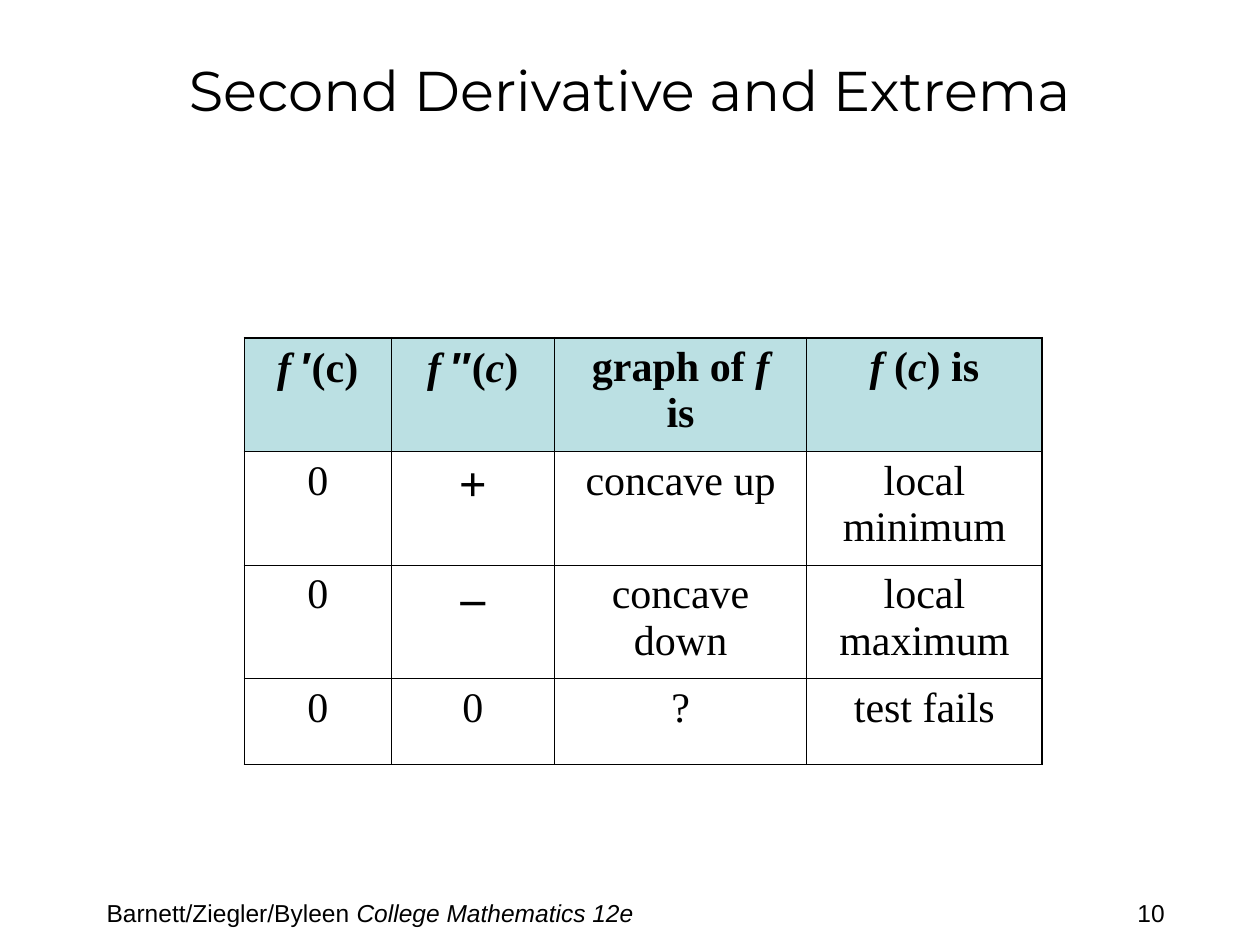
from pptx import Presentation
from pptx.dml.color import RGBColor
from pptx.enum.text import MSO_ANCHOR, PP_ALIGN
from pptx.oxml.ns import qn
from pptx.util import Cm, Pt
from lxml.etree import SubElement

BLACK = RGBColor(0x00, 0x00, 0x00)
HEADER_BLUE = RGBColor(0xBB, 0xE0, 0xE3)
SERIF = "Times New Roman"
SANS = "Arial"
OUTER_LINE, INNER_LINE = Pt(1.08), Pt(0.45)

COLUMN_WIDTHS = [2.95, 3.3, 5.08, 4.75]
ROW_HEIGHTS = [2.29, 2.29, 2.29, 1.73]

ITALIC = {"italic": True}
PRIME = {"font": SANS}
SIGN = {"size": 28, "bold": True}

# Each header cell is a list of (text, format) runs
HEADERS = [
    [("f ", ITALIC), ("′", PRIME), ("(c)", {})],
    [("f ", ITALIC), ("′′", PRIME), ("(", {}), ("c", ITALIC), (")", {})],
    [("graph of ", {}), ("f", ITALIC), ("\n", {}), ("is", {})],
    [("f", ITALIC), (" (", {}), ("c", ITALIC), (") is", {})],
]
BODY = [
    ["0", "+", "concave up", "local minimum"],
    ["0", "–", "concave down", "local maximum"],
    ["0", "0", "?", "test fails"],
]


def add_text(paragraph, text, font=SERIF, size=24, bold=False, italic=False):
    """Append one formatted run, or a line break for a newline."""
    if text == "\n":
        paragraph.add_line_break()
        return
    run = paragraph.add_run()
    run.text = text
    run.font.name = font
    run.font.size = Pt(size)
    run.font.bold = bold
    run.font.italic = italic
    run.font.color.rgb = BLACK


def add_text_box(slide, left, top, width, height):
    frame = slide.shapes.add_textbox(left, top, width, height).text_frame
    frame.word_wrap = True
    return frame.paragraphs[0]


def set_borders(cell, widths):
    """Draw cell borders; widths are ordered left, right, top, bottom."""
    properties = cell._tc.get_or_add_tcPr()
    for position, (side, width) in enumerate(zip("LRTB", widths)):
        line = SubElement(properties, qn(f"a:ln{side}"), w=str(int(width)))
        fill = SubElement(line, qn("a:solidFill"))
        SubElement(fill, qn("a:srgbClr"), val=str(BLACK))
        properties.insert(position, line)


def place_title(slide, left, top, width, height):
    title = slide.shapes.title
    title.left, title.top, title.width, title.height = left, top, width, height
    title.text_frame.vertical_anchor = MSO_ANCHOR.MIDDLE
    paragraph = title.text_frame.paragraphs[0]
    paragraph.alignment = PP_ALIGN.CENTER
    add_text(paragraph, "Second Derivative and Extrema", font="Montserrat", size=32)


def place_table(slide, left, top):
    rows, columns = len(ROW_HEIGHTS), len(COLUMN_WIDTHS)
    table = slide.shapes.add_table(
        rows, columns, left, top, Cm(sum(COLUMN_WIDTHS)), Cm(sum(ROW_HEIGHTS))
    ).table
    for column, width in zip(table.columns, COLUMN_WIDTHS):
        column.width = Cm(width)
    for row, height in zip(table.rows, ROW_HEIGHTS):
        row.height = Cm(height)

    for r in range(rows):
        for c in range(columns):
            cell = table.cell(r, c)
            paragraph = cell.text_frame.paragraphs[0]
            paragraph.alignment = PP_ALIGN.CENTER
            if r == 0:
                cell.fill.solid()
                cell.fill.fore_color.rgb = HEADER_BLUE
                for text, style in HEADERS[c]:
                    add_text(paragraph, text, bold=True, **style)
            else:
                cell.fill.background()
                text = BODY[r - 1][c]
                add_text(paragraph, text, **(SIGN if text in "+–" else {}))
            # Thick lines on the outside edge, thin lines within
            edges = (c == 0, c == columns - 1, r == 0, r == rows - 1)
            set_borders(cell, [OUTER_LINE if edge else INNER_LINE for edge in edges])


def place_footer(slide, left, top, width):
    # Book reference at the left end
    reference = add_text_box(slide, left, top, Cm(14.8), Cm(0.64))
    add_text(reference, "Barnett/Ziegler/Byleen ", font=SANS, size=14)
    add_text(reference, "College Mathematics 12e", font=SANS, size=14, italic=True)
    # Page number at the right end
    number_width = Cm(2.77)
    number = add_text_box(slide, left + width - number_width, top, number_width, Cm(0.86))
    add_text(number, "10", font=SANS, size=14)


def main():
    presentation = Presentation()
    presentation.slide_width, presentation.slide_height = Cm(25.4), Cm(19.05)
    slide = presentation.slides.add_slide(presentation.slide_layouts[5])
    place_title(slide, Cm(1.9), Cm(0.2), Cm(21.6), Cm(3.18))
    place_table(slide, Cm(4.93), Cm(6.81))
    place_footer(slide, Cm(1.9), Cm(17.98), Cm(23.55))
    presentation.save("out.pptx")


if __name__ == "__main__":
    main()
